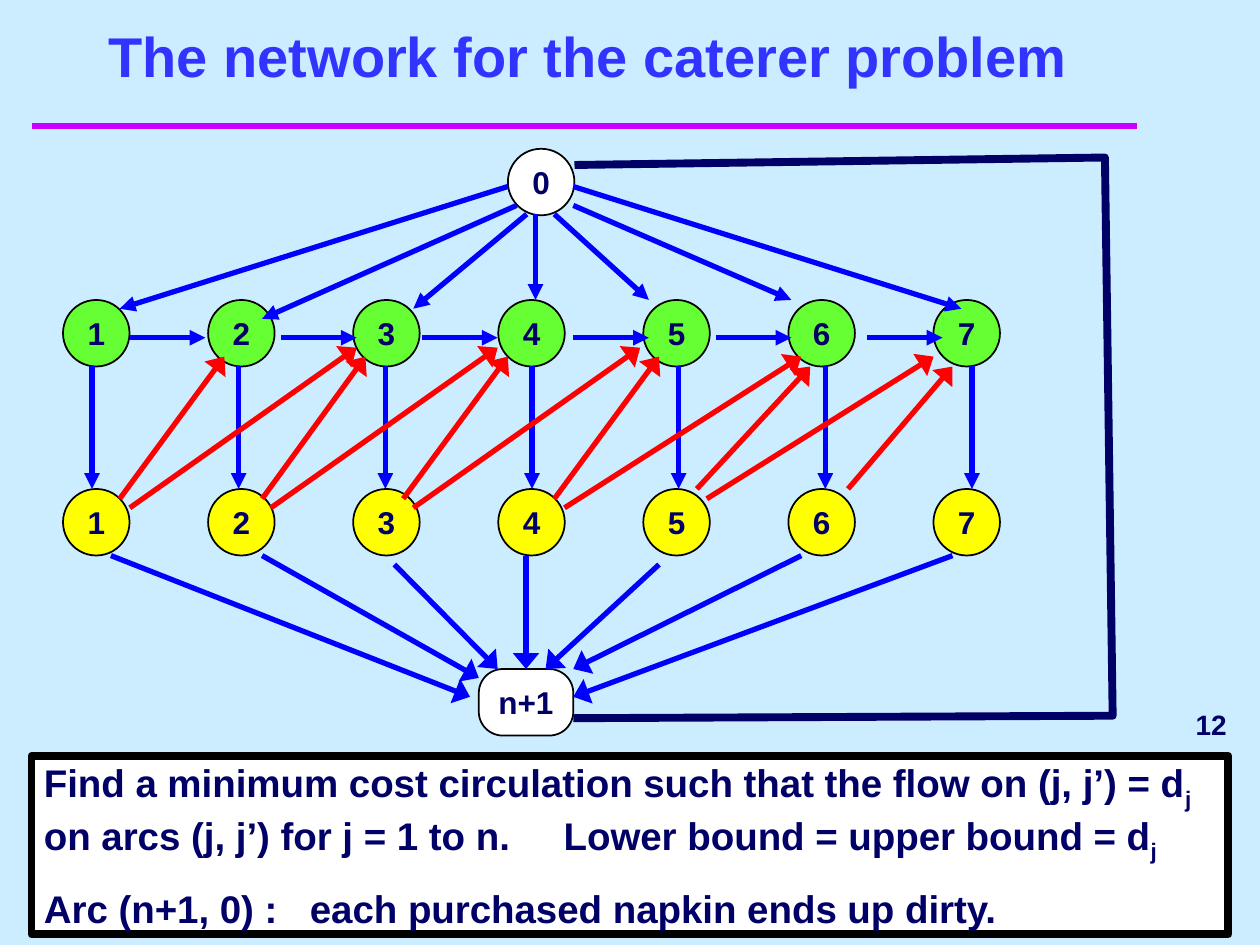
from dataclasses import dataclass

from lxml.etree import SubElement
from pptx import Presentation
from pptx.dml.color import RGBColor
from pptx.enum.shapes import MSO_CONNECTOR, MSO_SHAPE
from pptx.enum.text import MSO_ANCHOR, PP_ALIGN
from pptx.oxml.ns import qn
from pptx.util import Pt


@dataclass(frozen=True)
class Theme:
    font: str = "Arial"
    background: str = "CCECFF"
    title: str = "3333FF"
    rule: str = "CC00FF"
    ink: str = "000066"
    outline: str = "000000"
    paper: str = "FFFFFF"
    clean: str = "66FF33"
    dirty: str = "FFFF00"
    flow: str = "0000FF"
    laundry: str = "FF0000"
    title_size: float = 32
    body_size: float = 22
    node_size: float = 18
    number_size: float = 16


@dataclass(frozen=True)
class Box:
    left: float
    top: float
    width: float
    height: float

    def lengths(self):
        return [Pt(value) for value in (self.left, self.top, self.width, self.height)]

    def inner(self, left, top, width, height):
        """Turn a box given relative to this one into a box on the page."""
        return Box(self.left + left, self.top + top, width, height)


THEME = Theme()
DAYS = 7
NODE = 38
NODE_PITCH = 82.9
CLEAN_TOP, DIRTY_TOP = 86.4, 194.4

# Arc ends are (x, y) points inside the network box.
PURCHASE_ARCS = [
    ((254.2, 21.6), (32.4, 91.4)), ((259.2, 32.4), (113.8, 97.2)),
    ((265, 37.4), (200.2, 91.4)), ((270, 37.4), (270, 86.4)),
    ((280.8, 37.4), (334.8, 86.4)), ((291.6, 32.4), (416.2, 86.4)),
    ((291.6, 21.6), (513.4, 91.4)),
]
RETURN_ARCS = [
    ((27.4, 232.5), (232.6, 313.2)), ((113.8, 232.5), (237.6, 302.4)),
    ((189.4, 237.6), (248.4, 297.3)), ((340.6, 237.6), (275.8, 297.3)),
    ((421.9, 232.5), (291.6, 297.3)), ((508.3, 232.5), (291.6, 313.2)),
]
CARRY_STARTS = [38.2, 124.6, 205.2, 291.6, 373, 459.4]
LAUNDRY_ARCS = [
    ((32.4, 200), (92.2, 118.8)), ((38.2, 205.2), (167.8, 113.7)),
    ((113.8, 200), (172.8, 118.8)), ((118.8, 205.2), (248.4, 113.7)),
    ((194.4, 200), (254.2, 118.8)), ((200.2, 205.2), (329.8, 113.7)),
    ((280.8, 200), (340.6, 118.8)), ((286.6, 205.2), (421.9, 118.8)),
    ((362.2, 194.4), (427, 124.5)), ((367.9, 200), (497.5, 118.8)),
    ((448.6, 194.4), (508.3, 124.5)),
]
CIRCULATION = [(291.6, 325.4), (599.8, 324), (595.4, 5), (292.3, 9.3)]


def apply(target, values):
    for name, value in values.items():
        setattr(target, name, value)


def color(code):
    return RGBColor.from_string(code)


def set_line(line, code, width):
    line.color.rgb = color(code)
    line.width = Pt(width)


def add_span(para, text, size, code=THEME.ink, baseline=None):
    span = para.add_run()
    span.text = text
    apply(span.font, {"name": THEME.font, "size": Pt(size), "bold": True})
    span.font.color.rgb = color(code)
    if baseline:
        span._r.get_or_add_rPr().set("baseline", str(baseline))


def add_shape(page, kind, box, fill, line_width):
    shape = page.shapes.add_shape(kind, *box.lengths())
    shape.shadow.inherit = False
    shape.fill.solid()
    shape.fill.fore_color.rgb = color(fill)
    set_line(shape.line, THEME.outline, line_width)
    apply(shape.text_frame, {"word_wrap": True, "vertical_anchor": MSO_ANCHOR.MIDDLE})
    return shape


def add_label(page, box, text, size, code, frame_format, alignment):
    frame = page.shapes.add_textbox(*box.lengths()).text_frame
    apply(frame, frame_format)
    para = frame.paragraphs[0]
    para.alignment = alignment
    add_span(para, text, size, code)


def add_node(page, box, text, fill, kind=MSO_SHAPE.OVAL):
    node = add_shape(page, kind, box, fill, 1)
    para = node.text_frame.paragraphs[0]
    para.alignment = PP_ALIGN.CENTER
    add_span(para, text, THEME.node_size)
    return node


def add_line(page, box, start, end, code, width):
    line = page.shapes.add_connector(
        MSO_CONNECTOR.STRAIGHT,
        Pt(box.left + start[0]), Pt(box.top + start[1]),
        Pt(box.left + end[0]), Pt(box.top + end[1]))
    set_line(line.line, code, width)
    SubElement(line._element.spPr, qn("a:effectLst"))
    return line


def add_arc(page, box, start, end, code=THEME.flow, head_width="med"):
    arc = add_line(page, box, start, end, code, 3)
    SubElement(arc.line._get_or_add_ln(), qn("a:tailEnd"),
               type="triangle", w=head_width, len="med")
    return arc


def add_heading(page, box):
    add_line(page, box, (0, 60), (box.width, 60), THEME.rule, 4)
    add_label(page, box.inner(12.2, 0, 612, 42), "The network for the caterer problem",
              THEME.title_size, THEME.title,
              {"word_wrap": True, "vertical_anchor": MSO_ANCHOR.BOTTOM}, PP_ALIGN.CENTER)


def add_network(page, box):
    add_node(page, box.inner(254.2, 0, NODE, NODE), "0", THEME.paper)
    for top, fill in ((CLEAN_TOP, THEME.clean), (DIRTY_TOP, THEME.dirty)):
        for day in range(DAYS):
            add_node(page, box.inner(day * NODE_PITCH, top, NODE, NODE), str(day + 1), fill)
    sink = add_node(page, box.inner(237.6, 297.3, 54, NODE), "n+1", THEME.paper,
                    MSO_SHAPE.ROUNDED_RECTANGLE)
    sink.adjustments[0] = 0.36

    for start, end in PURCHASE_ARCS:
        add_arc(page, box, start, end)
    for day in range(DAYS):
        x = 16.6 + day * 83.8
        add_arc(page, box, (x, CLEAN_TOP + NODE), (x, DIRTY_TOP))
    for start, end in RETURN_ARCS:
        add_arc(page, box, start, end, head_width="lg")
    middle = add_arc(page, box, (264.6, 232.5), (264.6, 297.3), head_width="lg")
    middle.end_connect(sink, 0)
    for x in CARRY_STARTS:
        add_arc(page, box, (x, 108), (x + 43.2, 108))
    for start, end in LAUNDRY_ARCS:
        add_arc(page, box, start, end, THEME.laundry, "lg")

    first, *others = [(Pt(box.left + x), Pt(box.top + y)) for x, y in CIRCULATION]
    builder = page.shapes.build_freeform(*first)
    builder.add_line_segments(others, close=False)
    circulation = builder.convert_to_shape()
    circulation.shadow.inherit = False
    circulation.fill.background()
    set_line(circulation.line, THEME.ink, 4.5)


def add_statement(page, box):
    frame = add_shape(page, MSO_SHAPE.RECTANGLE, box, THEME.paper, 4.5).text_frame
    paragraphs = [
        (297, [("Find a minimum cost circulation such that the flow on (j, j’) = d", None),
               ("j", -25000),
               (" on arcs (j, j’) for j = 1 to n.\tLower bound = upper bound = d", None),
               ("j", -25000)]),
        (152, [("Arc (n+1, 0) :\teach purchased napkin ends up dirty.", None)]),
    ]
    for index, (tab, spans) in enumerate(paragraphs):
        para = frame.add_paragraph() if index else frame.paragraphs[0]
        apply(para, {"alignment": PP_ALIGN.LEFT, "space_after": Pt(12)})
        tabs = SubElement(para._p.get_or_add_pPr(), qn("a:tabLst"))
        SubElement(tabs, qn("a:tab"), pos=str(Pt(tab)), algn="l")
        for text, baseline in spans:
            add_span(para, text, THEME.body_size, baseline=baseline)


def main():
    deck = Presentation()
    apply(deck, {"slide_width": Pt(720), "slide_height": Pt(540)})
    page = deck.slides.add_slide(deck.slide_layouts[6])
    page.background.fill.solid()
    page.background.fill.fore_color.rgb = color(THEME.background)
    add_heading(page, Box(18, 12, 632, 60))
    add_label(page, Box(672, 396, 36, 36), "12", THEME.number_size, THEME.ink,
              {"word_wrap": False, "vertical_anchor": MSO_ANCHOR.MIDDLE}, PP_ALIGN.RIGHT)
    add_network(page, Box(36, 85, 600, 336))
    add_statement(page, Box(18, 432, 684, 102))
    deck.save("out.pptx")


if __name__ == "__main__":
    main()
